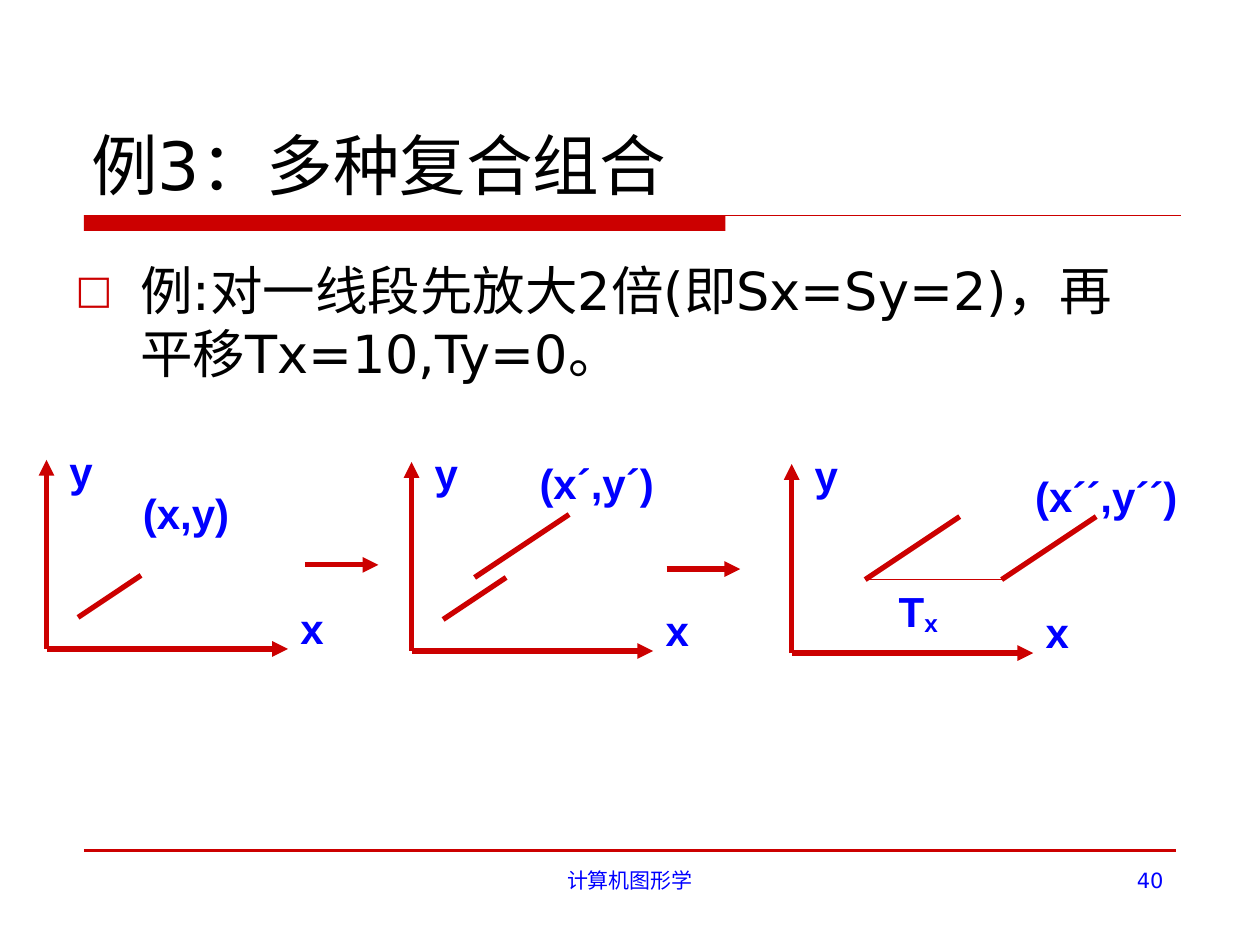
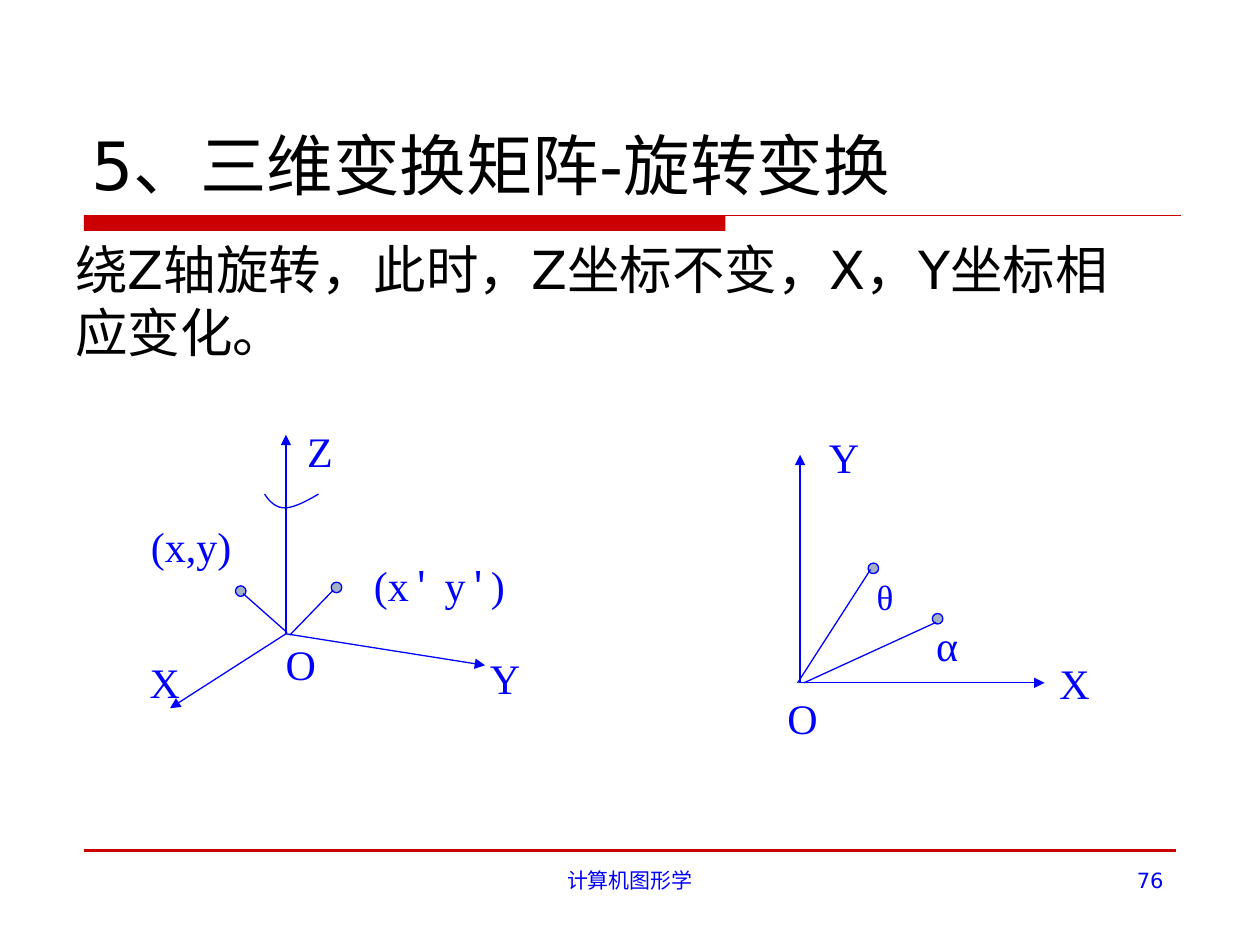
from dataclasses import dataclass

from lxml import etree
from pptx import Presentation
from pptx.dml.color import RGBColor
from pptx.enum.lang import MSO_LANGUAGE_ID
from pptx.enum.shapes import MSO_CONNECTOR, MSO_SHAPE
from pptx.enum.text import MSO_ANCHOR, MSO_AUTO_SIZE, PP_ALIGN
from pptx.oxml.ns import qn
from pptx.slide import Slide
from pptx.text.text import TextFrame
from pptx.util import Pt

STRAIGHT = MSO_CONNECTOR.STRAIGHT
RECT, OVAL = MSO_SHAPE.RECTANGLE, MSO_SHAPE.OVAL
LEFT, CENTER, RIGHT = PP_ALIGN.LEFT, PP_ALIGN.CENTER, PP_ALIGN.RIGHT
TOP, BOTTOM = MSO_ANCHOR.TOP, MSO_ANCHOR.BOTTOM
FIXED, GROW = MSO_AUTO_SIZE.NONE, MSO_AUTO_SIZE.SHAPE_TO_FIT_TEXT
CHINESE = MSO_LANGUAGE_ID.SIMPLIFIED_CHINESE

RED = RGBColor(0xCC, 0x00, 0x00)
BLUE = RGBColor(0x00, 0x00, 0xFF)
BLACK = RGBColor(0x00, 0x00, 0x00)
GREY = RGBColor(0xA3, 0xB2, 0xC1)

SANS, BOLD, SERIF, MONO = "DejaVu Sans", "Arial", "Times New Roman", "Noto Sans Mono"
FOOTER = "计算机图形学"
DOT = 6

Point = tuple[float, float]


@dataclass(frozen=True)
class Style:
    font: str
    size: float
    color: RGBColor
    bold: bool = False
    base: int = 0


HEAD = Style(SANS, 38, BLACK)
BODY = Style(SANS, 30, BLACK)
FOOT = Style(SANS, 12, BLUE)
MARK = Style(BOLD, 24, BLUE, True)
SUB = Style(BOLD, 24, BLUE, True, -12000)
NAME = Style(SERIF, 24, BLUE)
PRIME = Style(MONO, 24, BLUE)
ANGLE = Style(SERIF, 20, BLUE)


@dataclass(frozen=True)
class Run:
    text: str
    style: Style


@dataclass(frozen=True)
class Label:
    runs: list[Run]
    at: Point
    width: float
    height: float = 36
    wrap: bool = True
    align: PP_ALIGN = LEFT
    fit: MSO_AUTO_SIZE = GROW


@dataclass(frozen=True)
class Line:
    start: Point
    end: Point
    arrow: bool = False
    width: float = 3
    color: RGBColor = RED


@dataclass(frozen=True)
class Graph:
    origin: Point
    lines: list[Line]
    labels: list[Label]
    dots: list[Point]


def mark(text: str, x: float, y: float, width: float = 48) -> Label:
    return Label([Run(text, MARK)], (x, y), width)


def name(text: str, x: float, y: float, width: float = 31.7) -> Label:
    return Label([Run(text, NAME)], (x, y), width, wrap=False)


def ray(start: Point, end: Point, arrow: bool = False) -> Line:
    return Line(start, end, arrow, 0.75, BLUE)


def plane(origin: Point, lines: list[Line], labels: list[Label]) -> Graph:
    axes = [Line((0, 0), (138, 0), True), Line((0, 0), (0, -108), True)]
    return Graph(origin, axes + lines, [mark("y", 6, -120), mark("x", 138, -30)] + labels, [])


SHORT = Line((18, -18), (54, -42))
PLANES = [
    plane(
        (26.6, 370.8),
        [SHORT, Line((147.6, -48), (189.6, -48), True)],
        [mark("(x,y)", 48, -96, 72)],
    ),
    plane(
        (235.2, 372),
        [SHORT, Line((36, -42), (90, -78)), Line((145.8, -46.8), (187.8, -46.8), True)],
        [mark("(x´,y´)", 66, -114, 90)],
    ),
    plane(
        (452.4, 373.2),
        [
            Line((42, -42), (120, -42), width=0.75),
            Line((42, -42), (96, -78)),
            Line((120, -42), (174, -78)),
        ],
        [
            mark("(x´´,y´´)", 132, -108, 112),
            Label([Run("T", MARK), Run("x", SUB)], (54, -42), 48),
        ],
    ),
]

SPACE = Graph(
    (163.4, 362.2),
    [
        ray((0, 0), (0, -113.8), True),
        ray((0, 0), (113.8, 18), True),
        ray((0, 0), (-66.2, 42.5), True),
        ray((0.7, -0.7), (-24.5, -23)),
        ray((2.2, 0.7), (26.6, -24.5)),
    ],
    [
        name("Z", 5, -122.4, 28.8),
        name("X", -85, 9.4),
        name("Y", 109.4, 7.2),
        name("O", -7.2, -0.7),
        name("(x,y)", -84.2, -68.4, 60.5),
        Label(
            [Run("(x", NAME), Run("'", PRIME), Run(" y", NAME), Run("'", PRIME), Run(")", NAME)],
            (43.2, -46.1), 89.3, wrap=False,
        ),
    ],
    [(25.9, -29.5), (-28.8, -27.4)],
)
TURN = [
    ((-12.2, -79.9), (-9.4, -75.6), (-5.8, -72), (-0.7, -72)),
    ((-0.7, -72), (4.3, -72), (11.5, -75.6), (18.7, -79.9)),
]
FLAT = Graph(
    (457.2, 390.2),
    [
        ray((0, 0), (0, -130.3), True),
        ray((0, 0), (139.7, 0), True),
        ray((-1.4, 0), (40.3, -64.8)),
        ray((2.2, 0), (77.8, -34.6)),
    ],
    [
        Label([Run("θ", ANGLE)], (36.7, -64.8), 37.4, 31.7),
        name("X", 141.1, -18),
        Label([Run("Y", NAME)], (9.4, -146.9), 49),
        name("α", 70.6, -39.6, 26.6),
        name("O", -14.4, 2.2),
    ],
    [(38.9, -68.4), (75.6, -39.6)],
)


def shift(point: Point, origin: Point) -> Point:
    return origin[0] + point[0], origin[1] + point[1]


def child(parent: etree._Element, tag: str, **attrs: str) -> etree._Element:
    return etree.SubElement(parent, qn(tag), attrs)


def write(frame: TextFrame, runs: list[Run], align: PP_ALIGN = LEFT) -> None:
    para = frame.paragraphs[0]
    para.alignment = align
    for item in runs:
        run, style = para.add_run(), item.style
        run.text = item.text
        font = run.font
        font.name, font.size, font.bold = style.font, Pt(style.size), style.bold
        font.color.rgb = style.color
        font.language_id = CHINESE
        props = run._r.get_or_add_rPr()
        child(props, "a:ea", typeface=style.font)
        if style.base:
            props.set("baseline", str(style.base))


def draw_label(slide: Slide, label: Label, origin: Point = (0, 0)) -> TextFrame:
    x, y = shift(label.at, origin)
    frame = slide.shapes.add_textbox(Pt(x), Pt(y), Pt(label.width), Pt(label.height)).text_frame
    frame.word_wrap = label.wrap
    frame.auto_size = label.fit
    frame.vertical_anchor = TOP
    write(frame, label.runs, label.align)
    return frame


def draw_line(slide: Slide, line: Line, origin: Point = (0, 0)) -> None:
    ends = [Pt(v) for p in (line.start, line.end) for v in shift(p, origin)]
    link = slide.shapes.add_connector(STRAIGHT, *ends)
    link.line.color.rgb = line.color
    link.line.width = Pt(line.width)
    props = link._element.spPr
    if line.arrow:
        child(props.find(qn("a:ln")), "a:tailEnd", type="triangle")
    child(props, "a:effectLst")


def draw_dot(slide: Slide, at: Point, origin: Point) -> None:
    x, y = shift(at, origin)
    dot = slide.shapes.add_shape(OVAL, Pt(x), Pt(y), Pt(DOT), Pt(DOT))
    dot.shadow.inherit = False
    dot.fill.solid()
    dot.fill.fore_color.rgb = GREY
    dot.line.color.rgb = BLUE
    dot.line.width = Pt(0.75)


def draw_graph(slide: Slide, graph: Graph) -> None:
    for dot in graph.dots:
        draw_dot(slide, dot, graph.origin)
    for line in graph.lines:
        draw_line(slide, line, graph.origin)
    for label in graph.labels:
        draw_label(slide, label, graph.origin)


def bezier(curve: tuple[Point, ...], t: float) -> Point:
    parts = ((1 - t) ** 3, 3 * t * (1 - t) ** 2, 3 * t**2 * (1 - t), t**3)
    return tuple(sum(w * p[axis] for w, p in zip(parts, curve)) for axis in (0, 1))


def draw_turn(slide: Slide, origin: Point, steps: int = 10) -> None:
    track = [TURN[0][0]] + [bezier(c, i / steps) for c in TURN for i in range(1, steps + 1)]
    spots = [(Pt(x), Pt(y)) for x, y in (shift(p, origin) for p in track)]
    pen = slide.shapes.build_freeform(*spots[0])
    pen.add_line_segments(spots[1:], close=False)
    arc = pen.convert_to_shape()
    arc.shadow.inherit = False
    arc.fill.background()
    arc.line.color.rgb = BLUE
    arc.line.width = Pt(0.75)


def add_page(deck: Presentation, title: str, page: str) -> Slide:
    slide = deck.slides.add_slide(deck.slide_layouts[5])
    band = slide.shapes.add_shape(RECT, Pt(48), Pt(123), Pt(366.5), Pt(9))
    band.shadow.inherit = False
    band.fill.solid()
    band.fill.fore_color.rgb = RED
    band.line.fill.background()
    draw_line(slide, Line((48, 123), (674.6, 123), width=0.75))
    draw_line(slide, Line((48, 486), (672, 486), width=2.25))
    draw_label(slide, Label([Run(FOOTER, FOOT)], (246, 492), 228, 37.5, align=CENTER, fit=FIXED))
    draw_label(slide, Label([Run(page, FOOT)], (516, 492), 156, 37.5, align=RIGHT, fit=FIXED))
    head = slide.shapes.title
    head.left, head.top, head.width, head.height = Pt(45), Pt(24), Pt(630), Pt(96)
    frame = head.text_frame
    frame.word_wrap = True
    frame.auto_size = FIXED
    frame.vertical_anchor = BOTTOM
    write(frame, [Run(title, HEAD)])
    return slide


def add_body(slide: Slide, text: str, top: float, height: float) -> TextFrame:
    return draw_label(slide, Label([Run(text, BODY)], (36, top), 630, height, fit=FIXED))


def add_box(frame: TextFrame) -> None:
    props = frame.paragraphs[0]._p.get_or_add_pPr()
    props.set("marL", str(Pt(37)))
    props.set("indent", str(Pt(-37)))
    child(child(props, "a:buClr"), "a:srgbClr", val=str(RED))
    child(props, "a:buSzPct", val="75000")
    child(props, "a:buFont", typeface=SANS)
    child(props, "a:buChar", char="□")


def main() -> None:
    deck = Presentation()
    deck.slide_width, deck.slide_height = Pt(720), Pt(540)

    scale = add_page(deck, "例3：多种复合组合", "40")
    add_box(add_body(scale, "例:对一线段先放大2倍(即Sx=Sy=2)，再平移Tx=10,Ty=0。", 144, 84))
    for graph in PLANES:
        draw_graph(scale, graph)

    spin = add_page(deck, "5、三维变换矩阵-旋转变换", "76")
    add_body(spin, "绕Z轴旋转，此时，Z坐标不变，X，Y坐标相应变化。", 132, 90)
    draw_graph(spin, SPACE)
    draw_turn(spin, SPACE.origin)
    draw_graph(spin, FLAT)

    deck.save("out.pptx")


if __name__ == "__main__":
    main()
